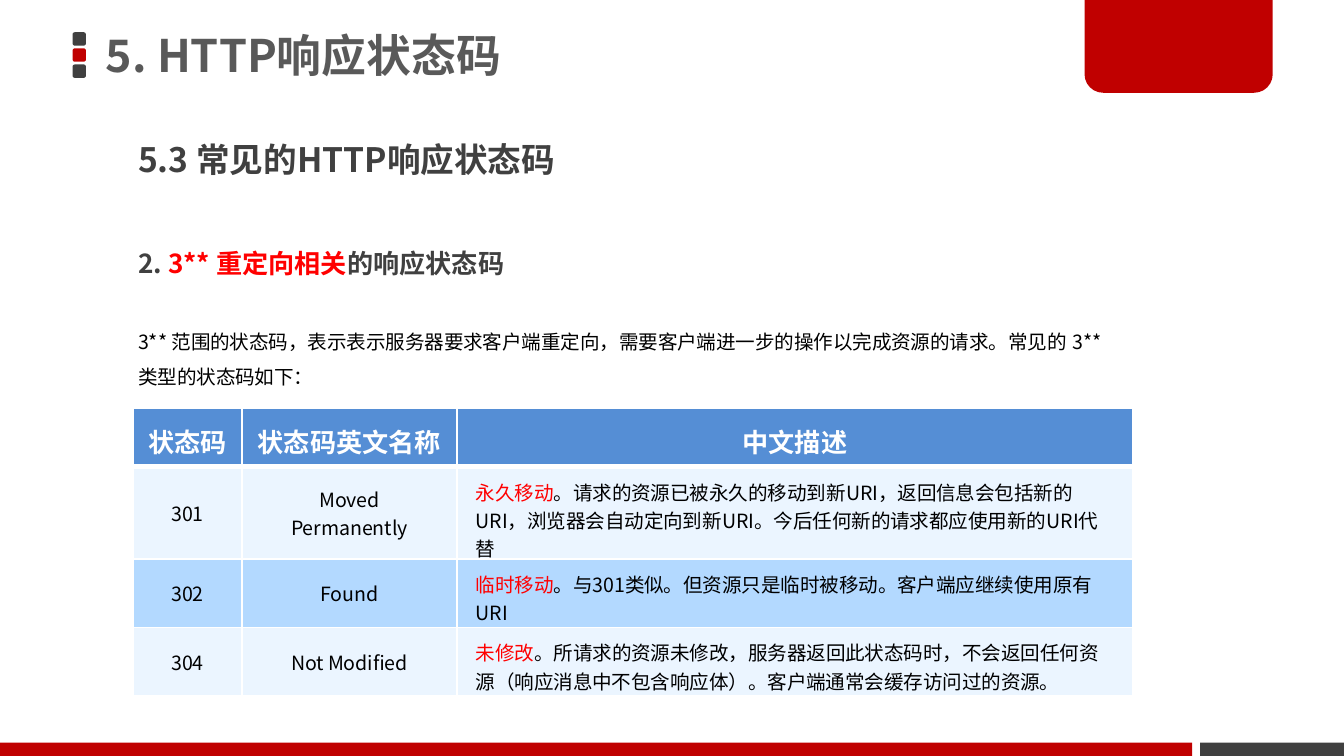
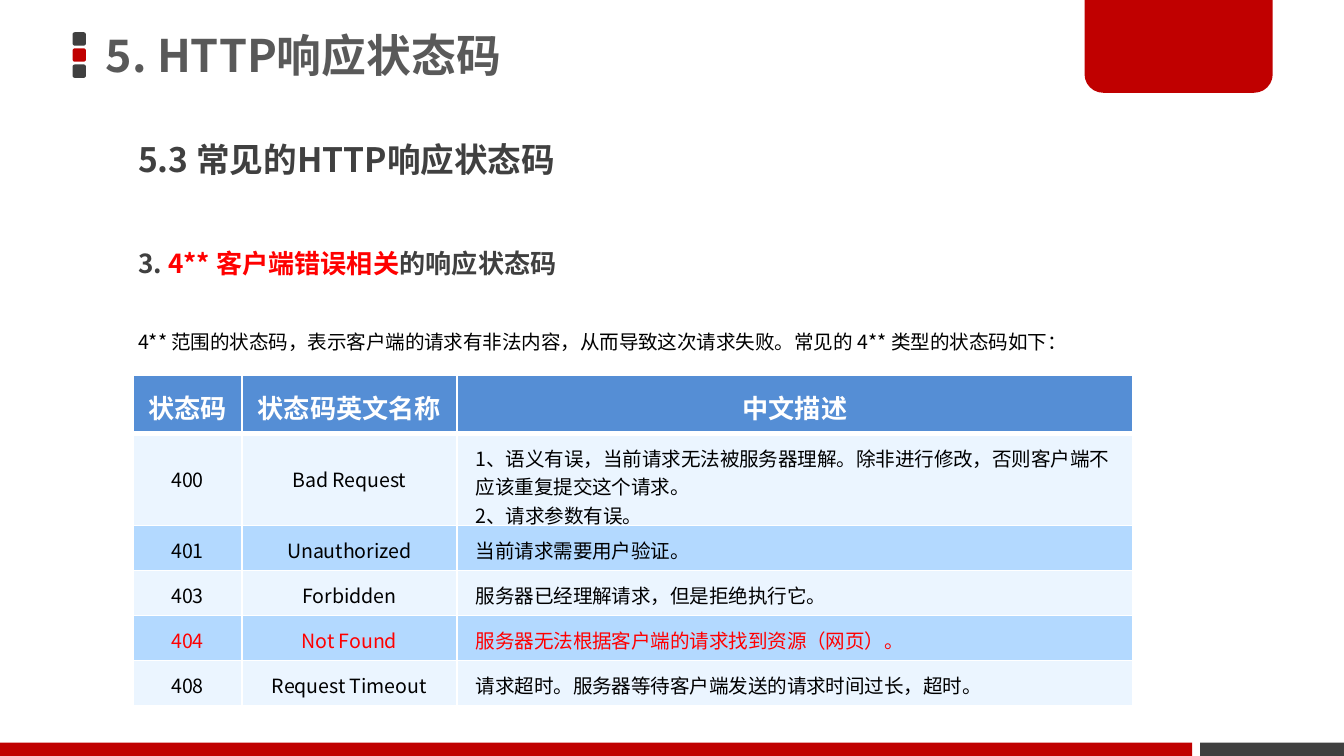
from dataclasses import dataclass

from lxml.etree import SubElement
from pptx import Presentation
from pptx.dml.color import RGBColor
from pptx.enum.shapes import MSO_SHAPE
from pptx.enum.text import MSO_ANCHOR, PP_ALIGN
from pptx.oxml.ns import qn
from pptx.util import Inches, Pt

FONT = "Noto Sans CJK SC"
CRIMSON = RGBColor(0xC0, 0x00, 0x00)
RED = RGBColor(0xFF, 0x00, 0x00)
CHARCOAL = RGBColor(0x40, 0x40, 0x40)
GREY = RGBColor(0x59, 0x59, 0x59)
BLACK = RGBColor(0x00, 0x00, 0x00)
WHITE = RGBColor(0xFF, 0xFF, 0xFF)
HEADER_BLUE = RGBColor(0x55, 0x8E, 0xD5)
ROW_BLUES = (RGBColor(0xEB, 0xF5, 0xFF), RGBColor(0xB3, 0xD9, 0xFF))

GRID = Inches(0.1)
COLUMNS, ROWS = 100, 56.25
TABLE_COLUMNS = (8.1, 16, 50.3)
HEADER_ROW, BODY_ROW = 3.8, 3.2

TITLE = "5. HTTP响应状态码"
SECTION = "5.3 常见的HTTP响应状态码"
HEADINGS = ("状态码", "状态码英文名称", "中文描述")


@dataclass
class Box:
    """A rectangle measured in grid columns and rows."""
    left: float
    top: float
    width: float
    height: float

    def inner(self, left, top, width, height):
        """Return a box placed relative to this one."""
        return Box(self.left + left, self.top + top, width, height)

    def lengths(self):
        """Return left, top, width and height as slide lengths."""
        return [round(value * GRID) for value in
                (self.left, self.top, self.width, self.height)]


def add_block(page, kind, box, colour, adjustments=()):
    """Add a plain filled shape."""
    block = page.shapes.add_shape(kind, *box.lengths())
    block.shadow.inherit = False
    block.fill.solid()
    block.fill.fore_color.rgb = colour
    block.line.fill.background()
    for index, value in enumerate(adjustments):
        block.adjustments[index] = value


def add_spans(para, spans, size, bold=False):
    """Add coloured runs of text to a paragraph."""
    for text, colour in spans:
        span = para.add_run()
        span.text = text
        span.font.name = FONT
        span.font.size = Pt(size)
        span.font.bold = bold
        span.font.color.rgb = colour
        SubElement(span.font._element, qn("a:ea"), typeface=FONT)


def add_text(page, box, spans, size, bold=True, spacing=0.9, before=7.5,
             anchor=MSO_ANCHOR.TOP):
    """Add a wrapped text box with one paragraph."""
    frame = page.shapes.add_textbox(*box.lengths()).text_frame
    frame.word_wrap = True
    frame.vertical_anchor = anchor
    para = frame.paragraphs[0]
    para.line_spacing = spacing
    para.space_before = Pt(before)
    add_spans(para, spans, size, bold)


def add_markers(page, box):
    """Stack three small squares at the left of the title."""
    side = box.width
    step = (box.height - side) / 2
    for index, colour in enumerate((CHARCOAL, CRIMSON, CHARCOAL)):
        add_block(page, MSO_SHAPE.ROUNDED_RECTANGLE,
                  box.inner(0, index * step, side, side), colour, (0.17,))


def add_footer(page, box):
    """Add the red and dark bands of the footer."""
    red_width, dark_width = 0.887 * box.width, 0.107 * box.width
    add_block(page, MSO_SHAPE.RECTANGLE,
              box.inner(box.width - dark_width, 0, dark_width, box.height), CHARCOAL)
    add_block(page, MSO_SHAPE.RECTANGLE,
              box.inner(0, 0, red_width, box.height), CRIMSON)


def add_frame(page, box):
    """Add what every slide shares: markers, tab, footer, title and section."""
    add_markers(page, box.inner(5.4, 2.4, 1, 3.4))
    add_footer(page, box.inner(0, box.height - 1, box.width, 1))
    add_block(page, MSO_SHAPE.ROUND_2_SAME_RECTANGLE,
              box.inner(80.7, 0, 14, 6.9), CRIMSON, (0, 0.2))
    add_text(page, box.inner(6.9, 0, 73.7, 8.7), [(TITLE, GREY)], 24,
             before=0, anchor=MSO_ANCHOR.MIDDLE)
    add_text(page, box.inner(9.3, 10.2, 71.3, 5.9), [(SECTION, CHARCOAL)], 18)


def style_cell(cell, colour, borders, margins, anchor):
    """Set the white borders, fill, margins and anchor of a cell."""
    properties = cell._tc.get_or_add_tcPr()
    for side, width in zip(("L", "R", "T", "B"), borders):
        line = SubElement(properties, qn("a:ln" + side), w=str(int(Pt(width))))
        SubElement(SubElement(line, qn("a:solidFill")), qn("a:srgbClr"), val=str(WHITE))
    cell.fill.solid()
    cell.fill.fore_color.rgb = colour
    cell.margin_left = cell.margin_right = Inches(margins[0])
    cell.margin_top = cell.margin_bottom = Inches(margins[1])
    cell.vertical_anchor = anchor


def add_header(table):
    """Fill the heading row of the table."""
    for cell, heading in zip(table.rows[0].cells, HEADINGS):
        style_cell(cell, HEADER_BLUE, (1, 1, 1, 3), (0.1, 0.05), MSO_ANCHOR.TOP)
        para = cell.text_frame.paragraphs[0]
        para.alignment = PP_ALIGN.CENTER
        para.line_spacing = Pt(24)
        add_spans(para, [(heading, WHITE)], 14, True)


def add_status(table, index, code, name, description, colour):
    """Fill one status row; the description is a list of paragraphs of spans."""
    contents = ([[(code, colour)]], [[(name, colour)]], description)
    borders = (1, 1, 3 if index == 1 else 1, 1)
    for column, paragraphs in enumerate(contents):
        cell = table.cell(index, column)
        style_cell(cell, ROW_BLUES[(index - 1) % 2], borders, (0.14, 0.08),
                   MSO_ANCHOR.MIDDLE)
        frame = cell.text_frame
        for number, spans in enumerate(paragraphs):
            para = frame.add_paragraph() if number else frame.paragraphs[0]
            para.alignment = PP_ALIGN.LEFT if column == 2 else PP_ALIGN.CENTER
            add_spans(para, spans, 10.5)


def add_status_table(page, box, statuses):
    """Add the table of status codes."""
    table = page.shapes.add_table(len(statuses) + 1, len(HEADINGS),
                                  *box.lengths()).table
    for column, width in zip(table.columns, TABLE_COLUMNS):
        column.width = round(width * GRID)
    for index, row in enumerate(table.rows):
        row.height = round((BODY_ROW if index else HEADER_ROW) * GRID)
    add_header(table)
    for index, status in enumerate(statuses, 1):
        add_status(table, index, *status)


def add_status_slide(deck, number, topic, intro, intro_size, table_top, statuses):
    """Add a slide on one family of status codes."""
    page = deck.slides.add_slide(deck.slide_layouts[6])
    box = Box(0, 0, COLUMNS, ROWS)
    add_frame(page, box)
    add_text(page, box.inner(9.3, 18.2, 71, 3.1),
             [(number, CHARCOAL), (topic, RED), ("的响应状态码", CHARCOAL)], 14)
    add_text(page, box.inner(9.3, 23.2, *intro_size), [(intro, BLACK)], 10.5,
             bold=False, spacing=1.5)
    height = HEADER_ROW + BODY_ROW * len(statuses)
    add_status_table(page, box.inner(9.9, table_top, sum(TABLE_COLUMNS), height), statuses)


def redirect(code, name, term, detail):
    """Describe a status whose description opens with a red term."""
    return code, name, [[(term, RED), (detail, BLACK)]], BLACK


def client_error(code, name, *lines, colour=BLACK):
    """Describe a status written in one colour."""
    return code, name, [[(line, colour)] for line in lines], colour


REDIRECTS = (
    redirect("301", "Moved Permanently", "永久移动",
             "。请求的资源已被永久的移动到新URI，返回信息会包括新的URI，"
             "浏览器会自动定向到新URI。今后任何新的请求都应使用新的URI代替"),
    redirect("302", "Found", "临时移动",
             "。与301类似。但资源只是临时被移动。客户端应继续使用原有URI"),
    redirect("304", "Not Modified", "未修改",
             "。所请求的资源未修改，服务器返回此状态码时，不会返回任何资源"
             "（响应消息中不包含响应体）。客户端通常会缓存访问过的资源。"),
)
CLIENT_ERRORS = (
    client_error("400", "Bad Request",
                 "1、语义有误，当前请求无法被服务器理解。除非进行修改，"
                 "否则客户端不应该重复提交这个请求。",
                 "2、请求参数有误。"),
    client_error("401", "Unauthorized", "当前请求需要用户验证。"),
    client_error("403", "Forbidden", "服务器已经理解请求，但是拒绝执行它。"),
    client_error("404", "Not Found",
                 "服务器无法根据客户端的请求找到资源（网页）。", colour=RED),
    client_error("408", "Request Timeout",
                 "请求超时。服务器等待客户端发送的请求时间过长，超时。"),
)

deck = Presentation()
deck.slide_width = COLUMNS * GRID
deck.slide_height = round(ROWS * GRID)
add_status_slide(
    deck, "2. ", "3** 重定向相关",
    "3** 范围的状态码，表示表示服务器要求客户端重定向，需要客户端进一步的操作"
    "以完成资源的请求。常见的 3** 类型的状态码如下：",
    (75.1, 5.9), 30.4, REDIRECTS)
add_status_slide(
    deck, "3. ", "4** 客户端错误相关",
    "4** 范围的状态码，表示客户端的请求有非法内容，从而导致这次请求失败。"
    "常见的 4** 类型的状态码如下：",
    (80, 4.6), 27.9, CLIENT_ERRORS)
deck.save("out.pptx")
